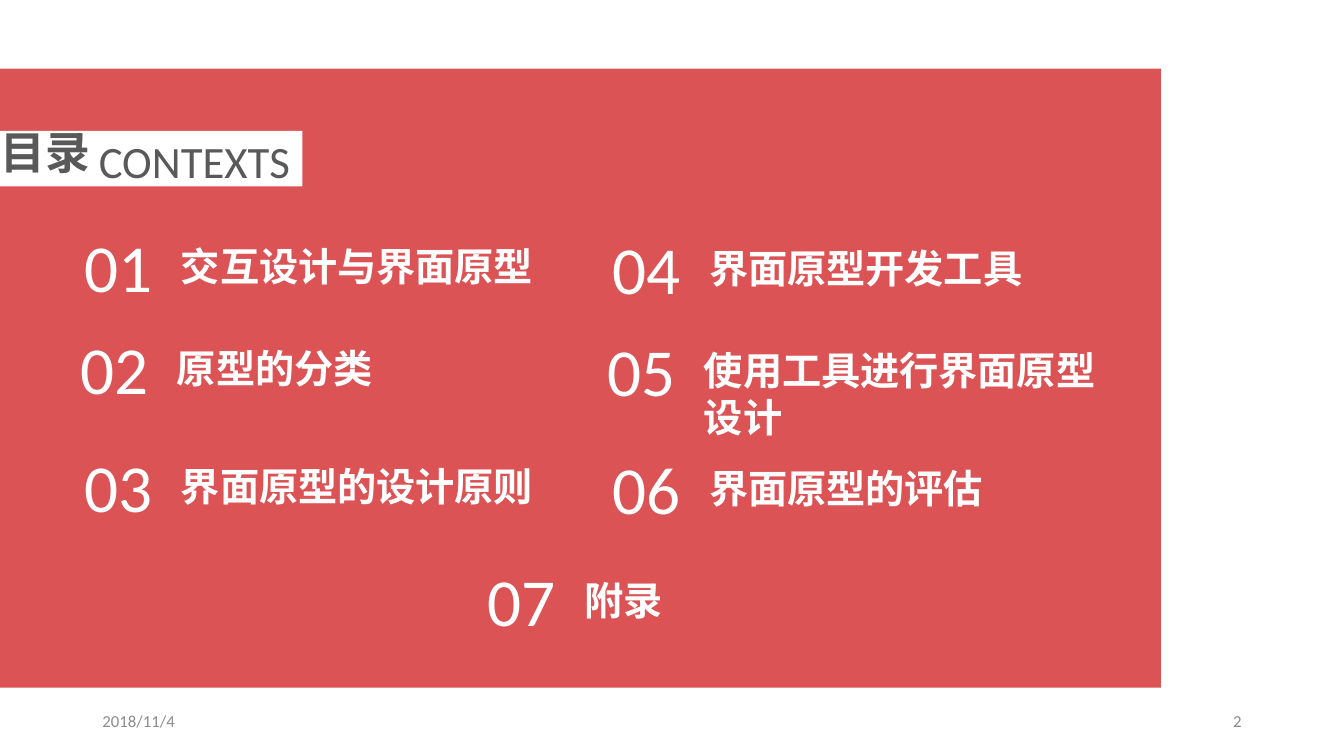
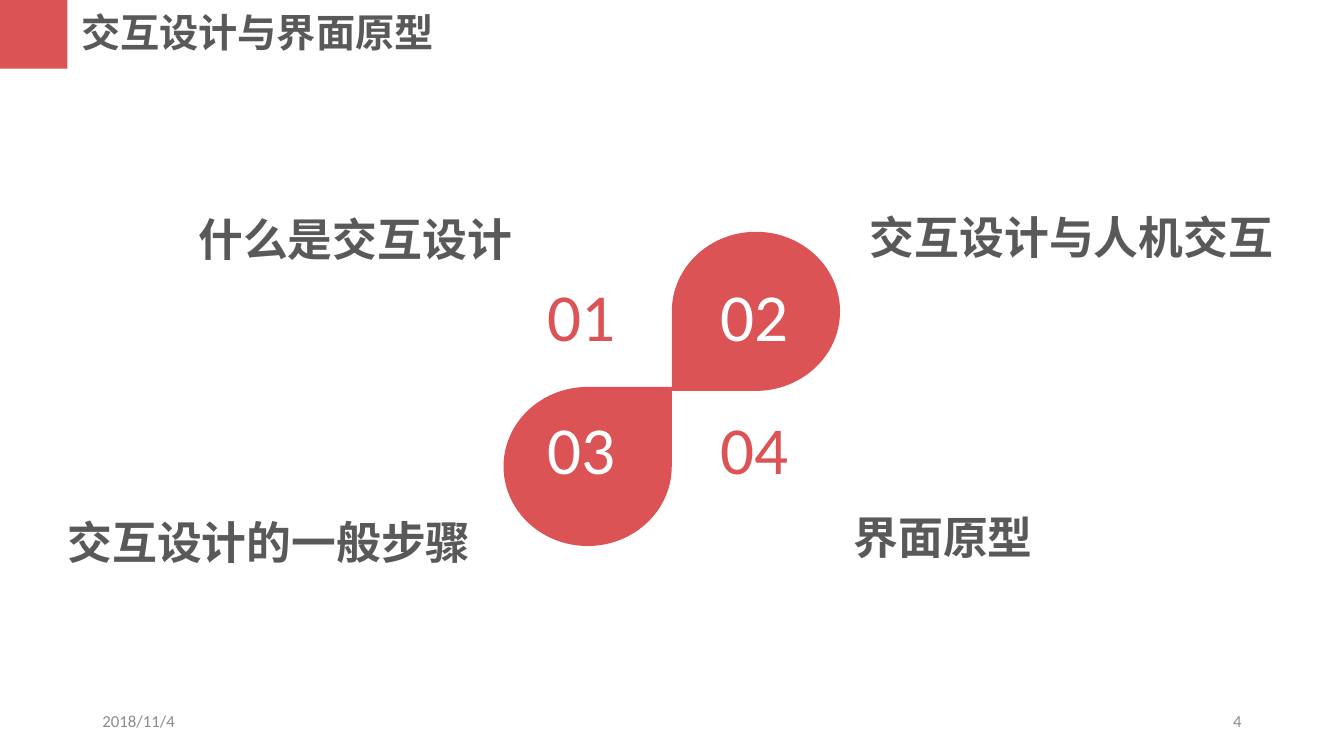
from dataclasses import dataclass

from lxml import etree
from pptx import Presentation
from pptx import util as u
from pptx.dml import color
from pptx.enum import shapes, text
from pptx.oxml import ns


@dataclass(frozen=True)
class Theme:
    red: str = "DB5355"
    white: str = "FFFFFF"
    dark: str = "595959"
    gray: str = "8C8C8C"
    latin: str = "Calibri"
    chinese: str = "Noto Sans CJK SC"
    number: int = 48
    label: int = 32
    heading: int = 28
    footer: int = 12


THEME = Theme()


@dataclass(frozen=True)
class Area:
    """Left, top, width and height in centimetres."""
    left: float
    top: float
    width: float
    height: float

    def lengths(self):
        return u.Cm(self.left), u.Cm(self.top), u.Cm(self.width), u.Cm(self.height)


@dataclass(frozen=True)
class Style:
    size: int
    tint: str
    chinese: bool = False
    spacing: float | None = None
    align: text.PP_ALIGN = text.PP_ALIGN.LEFT
    anchor: text.MSO_ANCHOR = text.MSO_ANCHOR.TOP


@dataclass(frozen=True)
class AgendaEntry:
    number: str
    title: str
    left: float
    top: float
    width: float = 9.93
    height: float = 1.45


@dataclass(frozen=True)
class Topic:
    number: str
    tint: str
    title: str
    area: Area


AGENDA_NUMBER = Style(THEME.number, THEME.white)
AGENDA_TITLE = Style(THEME.heading, THEME.white, chinese=True)
SLIDE_TITLE = Style(THEME.heading, THEME.dark, chinese=True)
TAG_CHINESE = Style(THEME.label, THEME.dark, chinese=True)
TAG_LATIN = Style(THEME.label, THEME.dark)
TOPIC_TITLE = Style(THEME.label, THEME.dark, chinese=True, spacing=1.2)
DATE = Style(THEME.footer, THEME.gray, anchor=text.MSO_ANCHOR.MIDDLE)
PAGE_NUMBER = Style(THEME.footer, THEME.gray, align=text.PP_ALIGN.RIGHT,
                    anchor=text.MSO_ANCHOR.MIDDLE)

AGENDA = [
    AgendaEntry("01", "交互设计与界面原型", 1.88, 5.56),
    AgendaEntry("02", "原型的分类", 1.78, 8.13),
    AgendaEntry("03", "界面原型的设计原则", 1.88, 11.1),
    AgendaEntry("04", "界面原型开发工具", 15.19, 5.61),
    AgendaEntry("05", "使用工具进行界面原型设计", 15.06, 8.18, 10.44, 2.64),
    AgendaEntry("06", "界面原型的评估", 15.19, 11.15),
    AgendaEntry("07", "附录", 12.04, 13.97, 3.38),
]

TOPICS = [
    Topic("01", THEME.red, "什么是交互设计", Area(4.75, 4.93, 8.56, 1.9)),
    Topic("02", THEME.white, "交互设计与人机交互", Area(21.67, 4.88, 12.12, 1.9)),
    Topic("03", THEME.white, "交互设计的一般步骤", Area(1.45, 12.57, 12.12, 1.9)),
    Topic("04", THEME.red, "界面原型", Area(21.26, 12.45, 12.12, 1.9)),
]


def add_text(page, content: str, area: Area, style: Style) -> None:
    frame = page.shapes.add_textbox(*area.lengths()).text_frame
    frame.word_wrap = True
    frame.vertical_anchor = style.anchor
    frame.text = content
    para = frame.paragraphs[0]
    para.alignment = style.align
    para.line_spacing = style.spacing
    span = para.runs[0]
    span.font.size = u.Pt(style.size)
    span.font.color.rgb = color.RGBColor.from_string(style.tint)
    span.font.bold = style.chinese
    span.font.name = THEME.chinese if style.chinese else THEME.latin
    if style.chinese:
        properties = span.font._element
        etree.SubElement(properties, ns.qn("a:ea"), typeface=THEME.chinese)


def add_block(page, area: Area, tint: str,
              kind=shapes.MSO_SHAPE.RECTANGLE, rotation: float = 0) -> None:
    """Draw a plain filled shape without outline or shadow."""
    block = page.shapes.add_shape(kind, *area.lengths())
    block.shadow.inherit = False
    block.fill.solid()
    block.fill.fore_color.rgb = color.RGBColor.from_string(tint)
    block.line.fill.background()
    block.rotation = rotation


def add_page(deck, page_number: str):
    """Add a blank page with the shared date and page number."""
    page = deck.slides.add_slide(deck.slide_layouts[6])
    add_text(page, "2018/11/4", Area(2.33, 17.66, 7.62, 1.01), DATE)
    add_text(page, page_number, Area(23.92, 17.66, 7.62, 1.01), PAGE_NUMBER)
    return page


def build_agenda(deck) -> None:
    page = add_page(deck, "2")
    add_block(page, Area(0, 1.73, 29.26, 15.6), THEME.red)
    add_block(page, Area(0, 3.3, 7.62, 1.4), THEME.white)
    add_text(page, "目录", Area(-0.23, 3.02, 3.05, 1.63), TAG_CHINESE)
    add_text(page, "CONTEXTS", Area(2.24, 3.25, 6.7, 1.63), TAG_LATIN)
    for entry in AGENDA:
        add_text(page, entry.number, Area(entry.left, entry.top, 3.38, 2.31),
                 AGENDA_NUMBER)
        add_text(page, entry.title,
                 Area(entry.left + 2.43, entry.top + 0.42, entry.width, entry.height),
                 AGENDA_TITLE)


def build_topics(deck) -> None:
    page = add_page(deck, "4")
    add_block(page, Area(0, 0, 1.7, 1.73), THEME.red)
    add_text(page, "交互设计与界面原型", Area(1.8, 0.08, 12.45, 1.45), SLIDE_TITLE)
    teardrop = shapes.MSO_SHAPE.TEAR
    add_block(page, Area(16.93, 5.84, 4.24, 4.01), THEME.red, teardrop, 180)
    add_block(page, Area(12.69, 9.75, 4.24, 4.01), THEME.red, teardrop)
    for index, topic in enumerate(TOPICS):
        row, column = divmod(index, 2)
        add_text(page, topic.number,
                 Area(13.56 + 4.35 * column, 6.78 + 3.36 * row, 3.38, 2.31),
                 Style(THEME.number, topic.tint))
        add_text(page, topic.title, topic.area, TOPIC_TITLE)


def main() -> None:
    deck = Presentation()
    deck.slide_width, deck.slide_height = u.Cm(33.87), u.Cm(19.05)
    build_agenda(deck)
    build_topics(deck)
    deck.save("out.pptx")


if __name__ == "__main__":
    main()
